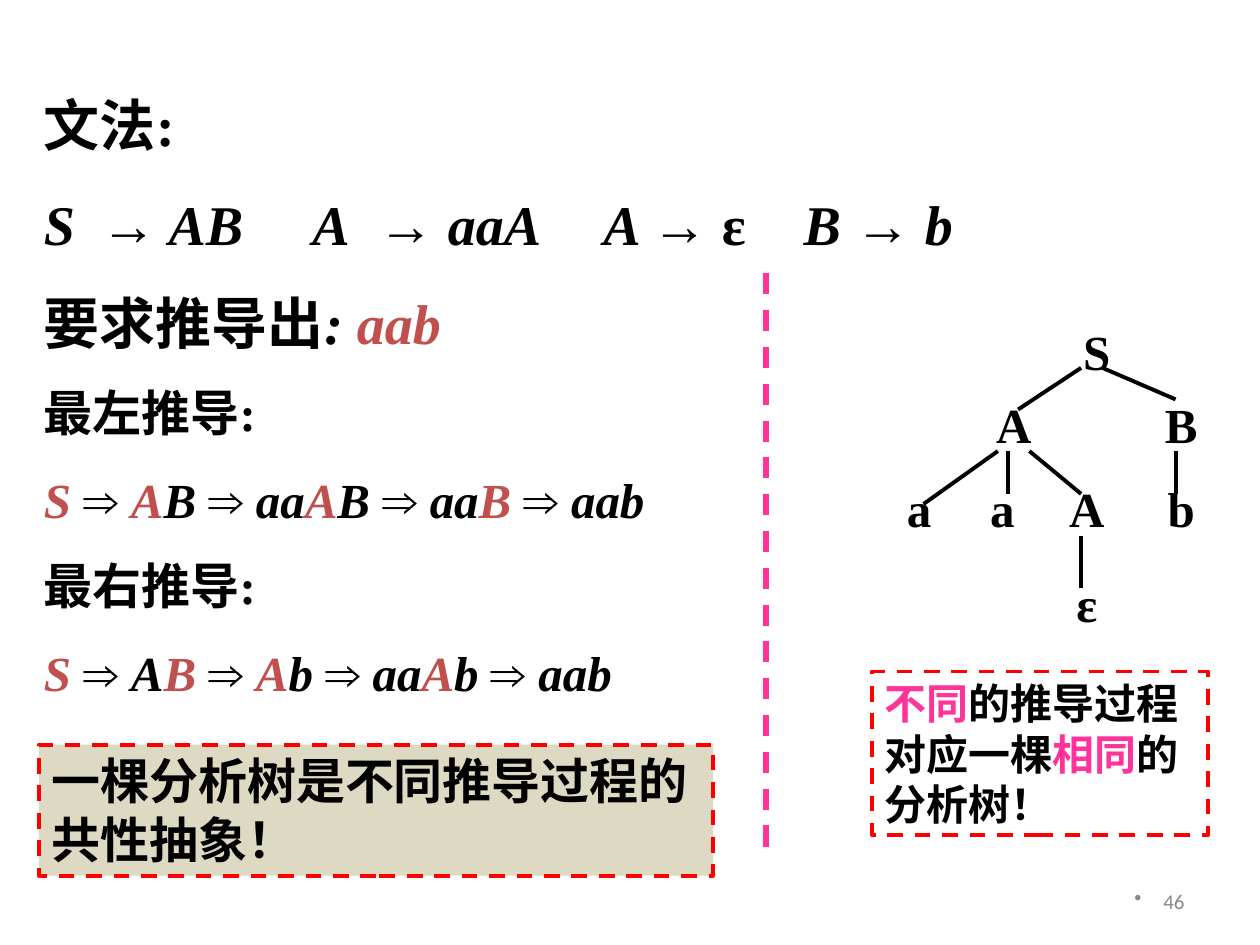
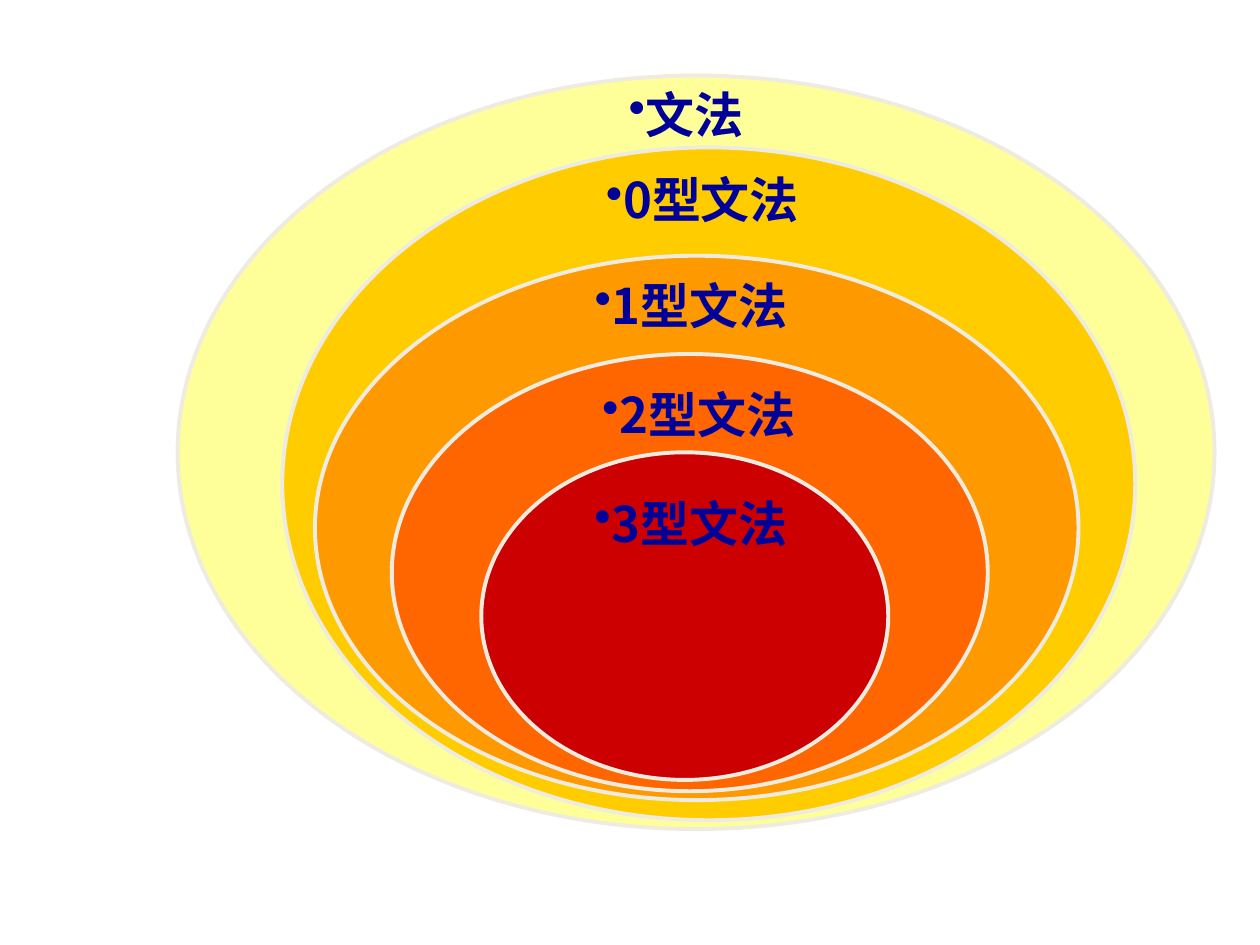
from lxml import etree
from pptx import Presentation
from pptx.dml.color import RGBColor
from pptx.enum.dml import MSO_LINE
from pptx.enum.shapes import MSO_CONNECTOR, MSO_SHAPE
from pptx.enum.text import MSO_ANCHOR, PP_ALIGN
from pptx.oxml.ns import qn
from pptx.util import Inches, Pt

RECTANGLE, OVAL = MSO_SHAPE.RECTANGLE, MSO_SHAPE.OVAL
STRAIGHT, DASH = MSO_CONNECTOR.STRAIGHT, MSO_LINE.DASH
TOP, MIDDLE = MSO_ANCHOR.TOP, MSO_ANCHOR.MIDDLE
LEFT, CENTER, RIGHT = PP_ALIGN.LEFT, PP_ALIGN.CENTER, PP_ALIGN.RIGHT

SERIF, SANS, FOOTER_FONT = "Times New Roman", "Noto Sans CJK SC", "Calibri"
BLACK, BRICK, PINK, RED = "000000", "C0504D", "FF3399", "FF0000"
NAVY, GREY, IVORY, SAND = "000099", "898989", "EEECE1", "DDD9C3"


def colour(code):
    return RGBColor.from_string(code)


def add_span(para, text, size=28, font=SERIF, color=BLACK, bold=True, italic=False):
    span = para.add_run()
    span.text = text
    span.font.name = font
    span.font.size = Pt(size)
    span.font.bold = bold
    span.font.italic = italic
    span.font.color.rgb = colour(color)
    east_asian = etree.SubElement(span.font._element, qn("a:ea"))
    east_asian.set("typeface", SANS)


def add_accented(para, text, accent, **style):
    """Write text, giving the accent colour to parts between bars."""
    for index, piece in enumerate(text.split("|")):
        if piece:
            add_span(para, piece, color=accent if index % 2 else BLACK, **style)


def set_bullet(para, color, indent=0):
    properties = para._p.get_or_add_pPr()
    properties.set("marL", str(Inches(indent)))
    properties.set("indent", str(-Inches(indent)))
    bullet_color = etree.SubElement(properties, qn("a:buClr"))
    etree.SubElement(bullet_color, qn("a:srgbClr")).set("val", color)
    etree.SubElement(properties, qn("a:buChar")).set("char", "•")


def set_tabs(para, stops):
    tabs = etree.SubElement(para._p.get_or_add_pPr(), qn("a:tabLst"))
    for stop in stops:
        tab = etree.SubElement(tabs, qn("a:tab"))
        tab.set("pos", str(Inches(stop)))
        tab.set("algn", "l")


def prepare_frame(shape, anchor=TOP, align=LEFT):
    frame = shape.text_frame
    frame.word_wrap = True
    frame.vertical_anchor = anchor
    frame.paragraphs[0].alignment = align
    return frame


def add_text(page, box, text="", anchor=TOP, align=LEFT, bullet=False, indent=0,
             **style):
    frame = prepare_frame(page.shapes.add_textbox(*map(Inches, box)), anchor, align)
    para = frame.paragraphs[0]
    if bullet:
        set_bullet(para, style["color"], indent)
    if text:
        add_span(para, text, **style)
    return frame


def add_figure(page, kind, box, fill=None, line=RED, dash=None):
    shape = page.shapes.add_shape(kind, *map(Inches, box))
    shape.shadow.inherit = False
    if fill:
        shape.fill.solid()
        shape.fill.fore_color.rgb = colour(fill)
    else:
        shape.fill.background()
    shape.line.color.rgb = colour(line)
    shape.line.width = Pt(2.25)
    shape.line.dash_style = dash
    return shape


def add_line(page, start, end, color=BLACK, width=2.25, dash=None):
    line = page.shapes.add_connector(STRAIGHT, *map(Inches, (*start, *end)))
    etree.SubElement(line._element.spPr, qn("a:effectLst"))
    line.line.color.rgb = colour(color)
    line.line.width = Pt(width)
    line.line.dash_style = dash


def add_derivation(para, text):
    for index, step in enumerate(text.split(" ⇒ ")):
        if index:
            add_span(para, " ⇒ ")
        add_accented(para, step, BRICK, italic=True)


def draw_derivations(page, box):
    frame = add_text(page, box)

    def next_para(gap):
        para = frame.add_paragraph()
        para.space_before = Pt(gap)
        return para

    # Grammar and target string
    add_span(frame.paragraphs[0], "文法:", size=32)
    rules = next_para(18)
    set_tabs(rules, (0.45, 2.13, 2.65, 4.44, 6.03))
    add_span(rules, "S\t→ AB\tA\t→ aaA\tA → ", size=32, italic=True)
    add_span(rules, "ε", size=32)
    add_span(rules, "\tB → b", size=32, italic=True)
    target = next_para(18)
    add_span(target, "要求推导出", size=32)
    add_accented(target, ": |aab", BRICK, size=32, italic=True)

    # Leftmost and rightmost derivations
    for heading, steps in (
        ("最左推导:", "|S| ⇒ |A|B ⇒ aa|A|B ⇒ aa|B| ⇒ aab"),
        ("最右推导:", "|S| ⇒ A|B| ⇒ |A|b ⇒ aa|A|b ⇒ aab"),
    ):
        add_span(next_para(15.8), heading)
        add_derivation(next_para(15.8), steps)


def draw_parse_tree(page, left, top):
    nodes = (("S", 1.41, 0), ("A", 0.75, 0.58), ("B", 2.08, 0.58),
             ("a", 0, 1.25), ("a", 0.66, 1.25), ("A", 1.33, 1.25),
             ("b", 2.08, 1.25), ("ε", 1.33, 2))
    for symbol, x, y in nodes:
        add_text(page, (left + x, top + y, 0.75, 0.57), symbol, align=CENTER)

    branches = (((1.66, 0.42), (1.16, 0.75)), ((1.83, 0.42), (2.41, 0.67)),
                ((1, 1.08), (0.41, 1.5)), ((1.08, 1.08), (1.08, 1.42)),
                ((1.25, 1.08), (1.66, 1.42)), ((2.41, 1.08), (2.41, 1.42)),
                ((1.66, 1.75), (1.66, 2.17)))
    for branch in branches:
        add_line(page, *((left + x, top + y) for x, y in branch))


def draw_note(page, box, text, size, fill=None):
    note = add_figure(page, RECTANGLE, box, fill=fill, dash=DASH)
    add_accented(prepare_frame(note).paragraphs[0], text, PINK, size=size)


def build_derivation_page(page):
    draw_derivations(page, (0.25, 0.67, 9.75, 4.95))
    draw_parse_tree(page, 6.92, 2.5)
    add_line(page, (6.08, 2.17), (6.08, 6.83), color=PINK, width=3, dash=DASH)
    draw_note(page, (6.92, 5.33, 2.67, 1.3),
              "|不同|的推导过程对应一棵|相同|的分析树！", 24)
    draw_note(page, (0.31, 5.91, 5.35, 1.04),
              "一棵分析树是不同推导过程的共性抽象！", 28, SAND)
    # Page number
    add_text(page, (7.17, 6.95, 2.33, 0.4), "46", anchor=MIDDLE, align=RIGHT,
             bullet=True, indent=0.23, size=12, font=FOOTER_FONT, color=GREY,
             bold=False)


def draw_grammar_class(page, box, fill, name, label_x, label_y, label_width):
    left, top = box[:2]
    add_figure(page, OVAL, box, fill=fill, line=IVORY)
    add_text(page, (left + label_x, top + label_y, label_width, 0.57), name,
             bullet=True, font=SANS, color=NAVY)


def build_hierarchy_page(page):
    # Nested classes, outermost first
    classes = (
        ((1.41, 0.6, 8.23, 5.98), "FFFF99", "文法", 3.48, 0.02, 2.41),
        ((2.24, 1.17, 6.77, 5.34), "FFCC00", "0型文法", 2.47, 0.13, 2.02),
        ((2.5, 2.03, 6.06, 4.32), "FF9900", "1型文法", 2.12, 0.11, 2.52),
        ((3.11, 2.81, 4.73, 3.47), "FF6600", "2型文法", 1.57, 0.19, 2.36),
        ((3.82, 3.59, 3.23, 2.6), "CC0000", "3型文法", 0.8, 0.28, 2.4),
    )
    for grammar_class in classes:
        draw_grammar_class(page, *grammar_class)


def main():
    deck = Presentation()
    deck.slide_width, deck.slide_height = Inches(10), Inches(7.5)
    blank = deck.slide_layouts[6]
    for build_page in (build_derivation_page, build_hierarchy_page):
        build_page(deck.slides.add_slide(blank))
    deck.save("out.pptx")


if __name__ == "__main__":
    main()
